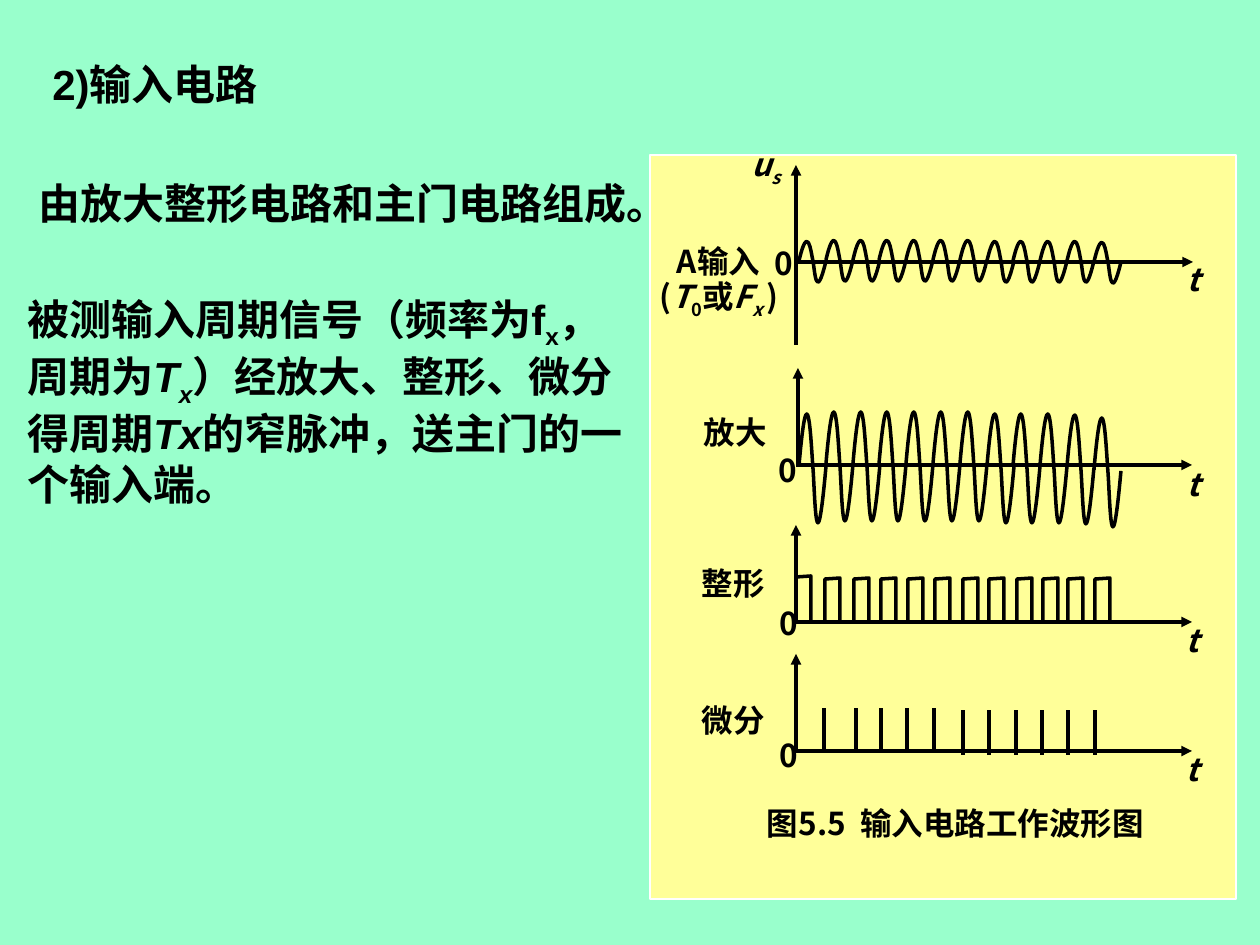
from lxml import etree
from pptx import Presentation
from pptx import util as u
from pptx.dml.color import RGBColor
from pptx.enum import shapes, text
from pptx.oxml.ns import qn

SCALE = 914400 / 126
COLORS = {"back": "99FFCC", "panel": "FFFF99", "edge": "FFFFFF", "ink": "000000"}
CJK = "Noto Sans CJK SC"
BODY = {"name": "Arial", "size": u.Pt(24), "bold": True}
LABEL = {"name": CJK, "size": u.Pt(18), "bold": True}

WAVE_X = [round(799 + 26.8 * i) for i in range(12)]
INPUT_Y = [261] + [260] * 6 + [261] * 4 + [262]
AMPLIFIED_Y = [466] + [464] * 6 + [466] * 3 + [467, 470]
INPUT_WAVE = [(0, 0), (9, -39), (12, -9), (14, 0), (16, 10), (17, 42), (27, 0)]
AMPLIFIED_WAVE = [(0, 0), (9, -104), (12, -24), (14, 2), (16, 28), (17, 112), (27, 1)]
PULSE = [(0, 0), (0, -45), (15, -46), (15, 0)]
PULSE_X = [796, 825, 854, 881, 908, 935, 963, 989, 1017, 1043, 1068, 1095]
PULSE_Y = [622] + [624] * 11
SPIKE_X = [824, 856, 881, 907, 934, 963, 989, 1016, 1042, 1068, 1095]
SPIKE_Y = [753] * 5 + [755] * 6

# axis x, base y, bottom, top, right end, zero label, t label


def px(n):
    return u.Emu(round(n * SCALE))


def rgb(key):
    return RGBColor.from_string(COLORS[key])


def set_all(obj, values):
    for key, value in values.items():
        setattr(obj, key, value)


def add_run(p, words, style, font):
    r = p.add_run()
    r.text = words
    set_all(r.font, font)
    r.font.color.rgb = rgb("ink")
    if "i" in style:
        r.font.italic = True
    if "s" in style:
        r.font._element.set("baseline", "-25000")
    etree.SubElement(r.font._element, qn("a:ea"), typeface=CJK)


def add_text(s, box, paragraphs, font, frame, align):
    sp = s.shapes.add_textbox(*map(px, box))
    tf = sp.text_frame
    set_all(tf, frame)
    for i, runs in enumerate(paragraphs):
        p = tf.paragraphs[0] if i == 0 else tf.add_paragraph()
        p.alignment = align
        for words, style in runs:
            add_run(p, words, style, font)


def add_body(s, box, *paragraphs):
    frame = {"word_wrap": False, "vertical_anchor": text.MSO_ANCHOR.MIDDLE,
             "auto_size": text.MSO_AUTO_SIZE.SHAPE_TO_FIT_TEXT}
    add_text(s, box, paragraphs, BODY, frame, text.PP_ALIGN.LEFT)


def add_label(s, x, y, w, *runs):
    frame = {"word_wrap": True, "margin_left": 0, "margin_right": 0,
             "margin_top": 0, "margin_bottom": 0}
    add_text(s, (x, y, w, 55), [runs], LABEL, frame, text.PP_ALIGN.JUSTIFY)


def ink_line(sp):
    sp.line.color.rgb = rgb("ink")
    sp.line.width = u.Pt(2)


def add_line(s, start, end, arrow=False):
    cx = s.shapes.add_connector(shapes.MSO_CONNECTOR.STRAIGHT, *map(px, start + end))
    ink_line(cx)
    if arrow:
        etree.SubElement(cx.line._get_or_add_ln(), qn("a:tailEnd"), type="triangle")
    etree.SubElement(cx._element.spPr, qn("a:effectLst"))


def add_outline(s, x, y, offsets):
    points = [(x + dx, y + dy) for dx, dy in offsets]
    fb = s.shapes.build_freeform(*points[0], scale=SCALE)
    fb.add_line_segments(points[1:], close=False)
    sp = fb.convert_to_shape()
    sp.shadow.inherit = False
    sp.fill.background()
    ink_line(sp)
    return sp


def add_wave(s, x, y, offsets):
    sp = add_outline(s, x, y, offsets)
    path = next(sp._element.iter(qn("a:path")))
    segments = path.findall(qn("a:lnTo"))
    for i in range(0, len(segments), 3):
        curve = etree.SubElement(path, qn("a:cubicBezTo"))
        for segment in segments[i:i + 3]:
            curve.append(segment[0])
            path.remove(segment)


def add_panel(s):
    sp = s.shapes.add_shape(shapes.MSO_SHAPE.RECTANGLE, *map(px, (650, 155, 586, 744)))
    sp.shadow.inherit = False
    sp.fill.solid()
    sp.fill.fore_color.rgb = rgb("panel")
    sp.line.color.rgb = rgb("edge")
    sp.line.width = u.Pt(0.75)


def add_axes(s, x, base, bottom, top, right, zero, t):
    add_line(s, (798, base), (right, base), arrow=True)
    add_line(s, (x, bottom), (x, top), arrow=True)
    add_label(s, *zero, 25, ("0", ""))
    add_label(s, *t, 25, ("t", "i"))


def main():
    prs = Presentation()
    prs.slide_width, prs.slide_height = px(1260), px(945)
    s = prs.slides.add_slide(prs.slide_layouts[6])
    s.background.fill.solid()
    s.background.fill.fore_color.rgb = rgb("back")

    add_body(s, (40, 52, 249, 63), [("2)输入电路", "")])
    add_body(s, (26, 171, 664, 63), [("由放大整形电路和主门电路组成。", "")])
    add_body(s, (15, 287, 640, 228),
             [("被测输入周期信号（频率为f", ""), ("x", "s"), ("，", "")],
             [("周期为", ""), ("T", "i"), ("x", "is"), ("）经放大、整形、微分", "")],
             [("得周期", ""), ("Tx", "i"), ("的窄脉冲，送主门的一", "")],
             [("个输入端。", "")])

    add_panel(s)
    add_axes(s, 796, 262, 345, 165, 1193, (775, 244), (1187, 260))
    add_axes(s, 798, 465, 467, 368, 1192, (779, 451), (1187, 465))
    add_axes(s, 796, 622, 624, 525, 1192, (780, 604), (1186, 621))
    add_axes(s, 796, 751, 753, 654, 1192, (780, 736), (1186, 750))

    for x, input_y, amplified_y in zip(WAVE_X, INPUT_Y, AMPLIFIED_Y):
        add_wave(s, x, input_y, INPUT_WAVE)
        add_wave(s, x, amplified_y, AMPLIFIED_WAVE)
    for x, y in zip(PULSE_X, PULSE_Y):
        add_outline(s, x, y, PULSE)
    for x, y in zip(SPIKE_X, SPIKE_Y):
        add_line(s, (x, y), (x, y - 45))

    add_label(s, 752, 145, 64, ("u", "i"), ("s", "is"))
    add_label(s, 677, 242, 126, ("A输入", ""))
    add_label(s, 660, 277, 126, ("(", ""), ("T", "i"), ("0", "s"), ("或", ""),
              ("F", "i"), ("x ", "is"), (")", ""))
    for x, y, name in [(704, 413, "放大"), (702, 564, "整形"), (702, 701, "微分")]:
        add_label(s, x, y, 76, (name, ""))
    add_label(s, 767, 804, 452, ("图5.5  输入电路工作波形图", ""))
    prs.save("out.pptx")


if __name__ == "__main__":
    main()
